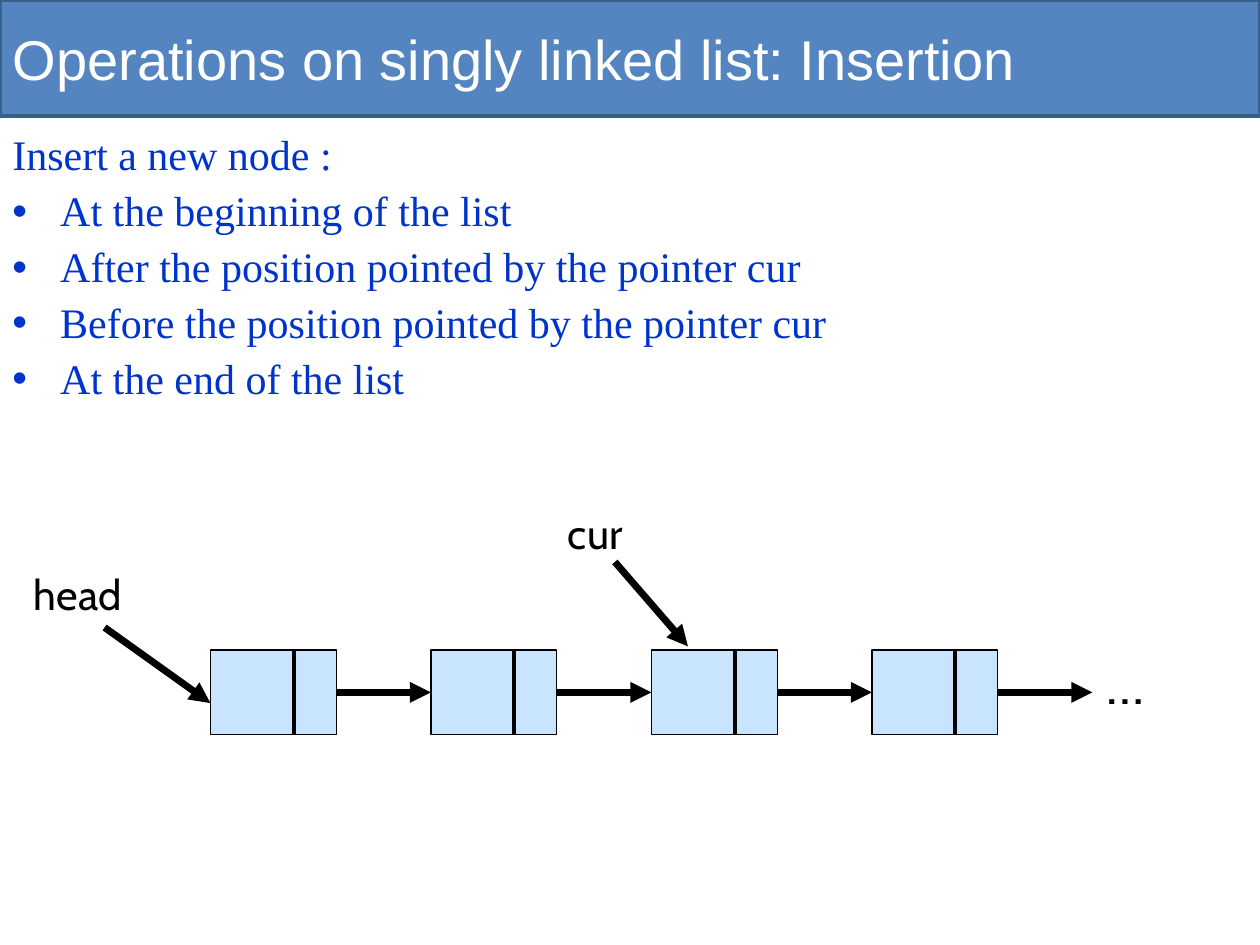
"""Build a slide on the places where a node enters a singly linked list."""
from lxml.etree import SubElement
from pptx import Presentation
from pptx.dml.color import RGBColor
from pptx.enum.shapes import MSO_CONNECTOR as LINK, MSO_SHAPE as SHAPE
from pptx.enum.text import MSO_ANCHOR as ANCHOR, PP_ALIGN as ALIGN
from pptx.oxml.ns import qn
from pptx.util import Inches, Pt

WHITE = RGBColor(0xFF, 0xFF, 0xFF)
BLACK = RGBColor(0, 0, 0)
BAR = RGBColor(0x54, 0x85, 0xC0)
EDGE = RGBColor(0x3A, 0x5F, 0x8C)
INK = RGBColor(0x00, 0x33, 0xCC)
CELL = RGBColor(0xC9, 0xE4, 0xFF)

deck = Presentation()
deck.slide_width, deck.slide_height = Inches(10), Inches(7.5)
slide = deck.slides.add_slide(deck.slide_layouts[5])
shapes = slide.shapes


def write(para, text, name, size, color):
    para.text = text
    para.alignment = ALIGN.LEFT
    for key, value in {"name": name, "size": Pt(size)}.items():
        setattr(para.font, key, value)
    para.font.color.rgb = color


def draw(x1, y1, x2, y2, width, arrow=False):
    line = shapes.add_connector(LINK.STRAIGHT, Inches(x1), Inches(y1), Inches(x2), Inches(y2))
    line.line.color.rgb = BLACK
    line.line.width = Pt(width)
    if arrow:
        SubElement(line.line._get_or_add_ln(), qn("a:tailEnd"), type="triangle")
    SubElement(line._element.spPr, qn("a:effectLst"))
    return line


title = shapes.title
place = {"left": 0, "top": 0, "width": Inches(10), "height": Inches(0.92)}
for key, value in place.items():
    setattr(title, key, value)
title.fill.solid()
title.fill.fore_color.rgb = BAR
title.line.color.rgb = EDGE
title.line.width = Pt(2)
title.text_frame.vertical_anchor = ANCHOR.MIDDLE
write(title.text_frame.paragraphs[0], "Operations on singly linked list: Insertion", "Arial", 32, WHITE)

body = shapes.add_textbox(0, Inches(1.02), Inches(10), Inches(5.8)).text_frame
body.word_wrap = True
intro = body.paragraphs[0]
intro.line_spacing = 0.9
write(intro, "Insert a new node :", "Times New Roman", 24, INK)
for text in (
    "At the beginning of the list",
    "After the position pointed by the pointer cur",
    "Before the position pointed by the pointer cur",
    "At the end of the list",
):
    para = body.add_paragraph()
    para.line_spacing = 0.9
    para.space_before = Pt(6)
    props = para._p.get_or_add_pPr()
    props.set("marL", str(Inches(0.38)))
    props.set("indent", str(-Inches(0.38)))
    SubElement(props, qn("a:buFont"), typeface="Arial")
    SubElement(props, qn("a:buChar"), char="•")
    write(para, text, "Times New Roman", 24, INK)

left, top, wide, high, step = 1.67, 5.16, 1, 0.67, 1.75
mid = top + high / 2
nodes = []
for i in range(4):
    x = left + i * step
    node = shapes.add_shape(SHAPE.RECTANGLE, Inches(x), Inches(top), Inches(wide), Inches(high))
    node.shadow.inherit = False
    node.fill.solid()
    node.fill.fore_color.rgb = CELL
    node.line.color.rgb = BLACK
    node.line.width = Pt(0.75)
    draw(x + 0.66, top + 0.01, x + 0.66, top + high, 2.25)
    nodes.append(node)

for i, node in enumerate(nodes):
    x = left + i * step + wide
    link = draw(x, mid, x + step - wide, mid, 4, True)
    link.begin_connect(node, 3)
    if i + 1 < len(nodes):
        link.end_connect(nodes[i + 1], 1)

draw(0.83, 4.98, 1.67, 5.58, 4, True)
draw(4.88, 4.46, 5.46, 5.13, 4, True)

for text, x, y, width, height, size in (
    ("head", 0.17, 4.46, 1.5, 0.5, 24),
    ("cur", 4.41, 3.98, 1.5, 0.5, 24),
    ("…", 8.68, 5.1, 1.17, 0.63, 32),
):
    label = shapes.add_textbox(Inches(x), Inches(y), Inches(width), Inches(height)).text_frame
    label.word_wrap = True
    write(label.paragraphs[0], text, "Cabin", size, BLACK)

deck.save("out.pptx")
